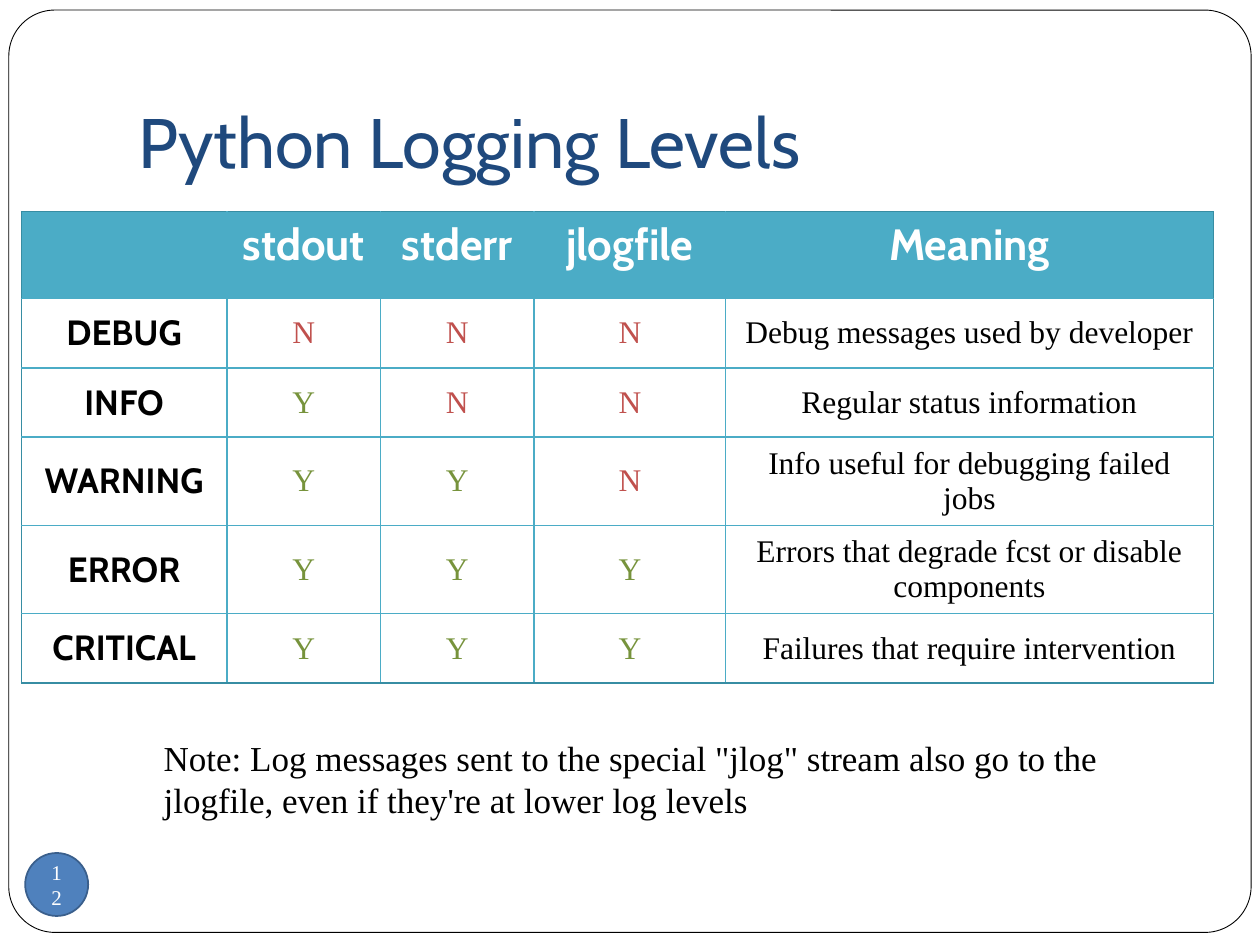
from typing import NamedTuple

from lxml import etree
from pptx import Presentation
from pptx.dml.color import RGBColor
from pptx.enum.shapes import MSO_SHAPE
from pptx.enum.text import MSO_ANCHOR, PP_ALIGN
from pptx.oxml.ns import qn
from pptx.util import Inches, Pt

ROUND_RECT, OVAL = MSO_SHAPE.ROUNDED_RECTANGLE, MSO_SHAPE.OVAL
TOP, MIDDLE, BOTTOM = MSO_ANCHOR.TOP, MSO_ANCHOR.MIDDLE, MSO_ANCHOR.BOTTOM
LEFT, CENTER = PP_ALIGN.LEFT, PP_ALIGN.CENTER

COLORS = {
    "white": "FFFFFF", "black": "000000", "title": "1F497D",
    "badge": "4F81BD", "badge_line": "3A5F8C",
    "grid": "4BACC6", "outer": "378DA3",
    "Y": "77933C", "N": "C0504D",
}
HEADING, BODY = "Cabin", "Times New Roman"


class Style(NamedTuple):
    size: float
    name: str
    color: str
    bold: bool = False


class Level(NamedTuple):
    name: str
    flags: str  # stdout, stderr, jlogfile
    meaning: str
    height: float = 0.55


HEADERS = ["", "stdout", "stderr", "jlogfile", "Meaning"]
COL_WIDTHS = [1.63, 1.22, 1.22, 1.52, 3.87]
HEADER_HEIGHT = 0.69
LEVELS = [
    Level("DEBUG", "NNN", "Debug messages used by developer"),
    Level("INFO", "YNN", "Regular status information"),
    Level("WARNING", "YYN", "Info useful for debugging failed jobs", 0.68),
    Level("ERROR", "YYY", "Errors that degrade fcst or disable components"),
    Level("CRITICAL", "YYY", "Failures that require intervention"),
]
HEADER_STYLE = Style(25, HEADING, "white", True)
NAME_STYLE = Style(20, HEADING, "black", True)
MEANING_STYLE = Style(18, BODY, "black")


def rgb(key: str) -> RGBColor:
    return RGBColor.from_string(COLORS[key])


def write(tf, text: str, style: Style, align=LEFT) -> None:
    p = tf.paragraphs[0]
    p.alignment = align
    r = p.add_run()
    r.text = text
    formats = {"size": Pt(style.size), "name": style.name, "bold": style.bold}
    for attr, value in formats.items():
        setattr(r.font, attr, value)
    r.font.color.rgb = rgb(style.color)


def add_shape(s, kind, box: tuple, fill: str, line: str, width: float):
    sp = s.shapes.add_shape(kind, *map(Inches, box))
    sp.shadow.inherit = False
    sp.fill.solid()
    sp.fill.fore_color.rgb = rgb(fill)
    sp.line.color.rgb = rgb(line)
    sp.line.width = Pt(width)
    return sp


def add_text(s, box: tuple, text: str, style: Style, anchor=TOP):
    tf = s.shapes.add_textbox(*map(Inches, box)).text_frame
    tf.word_wrap = True
    tf.vertical_anchor = anchor
    write(tf, text, style)
    return tf


def set_borders(cell, outer_sides: set) -> None:
    """Draw the four sides, with the outer colour on the table's edge."""
    tc_pr = cell._tc.get_or_add_tcPr()
    for i, side in enumerate("LRTB"):
        color, width = ("outer", 0.75) if side in outer_sides else ("grid", 1)
        ln = etree.Element(qn(f"a:ln{side}"), w=str(int(Pt(width))))
        fill = etree.SubElement(ln, qn("a:solidFill"))
        etree.SubElement(fill, qn("a:srgbClr"), val=COLORS[color])
        tc_pr.insert(i, ln)


def add_levels_table(s) -> None:
    heights = [HEADER_HEIGHT] + [level.height for level in LEVELS]
    rows, cols = len(heights), len(COL_WIDTHS)
    table = s.shapes.add_table(
        rows, cols, Inches(0.17), Inches(1.68),
        Inches(sum(COL_WIDTHS)), Inches(sum(heights))).table
    for col, width in zip(table.columns, COL_WIDTHS):
        col.width = Inches(width)
    for row, height in zip(table.rows, heights):
        row.height = Inches(height)

    content = [[(text, HEADER_STYLE) for text in HEADERS]]
    for level in LEVELS:
        flags = [(flag, Style(18, BODY, flag)) for flag in level.flags]
        content.append([(level.name, NAME_STYLE), *flags,
                        (level.meaning, MEANING_STYLE)])

    for i, row in enumerate(content):
        for j, (text, style) in enumerate(row):
            cell = table.cell(i, j)
            cell.fill.solid()
            cell.fill.fore_color.rgb = rgb("white" if i else "grid")
            cell.vertical_anchor = MIDDLE if i else TOP
            if text:
                write(cell.text_frame, text, style, CENTER)
            edges = {"L": j == 0, "R": j == cols - 1,
                     "T": i == 0, "B": i == rows - 1}
            set_borders(cell, {side for side, on in edges.items() if on})


def main() -> None:
    prs = Presentation()
    prs.slide_width, prs.slide_height = Inches(10), Inches(7.5)
    s = prs.slides.add_slide(prs.slide_layouts[6])

    # Rounded frame and page number
    frame = add_shape(s, ROUND_RECT, (0.07, 0.08, 9.86, 7.32),
                      "white", "black", 0.5)
    frame.adjustments[0] = 0.05
    badge = add_shape(s, OVAL, (0.2, 6.77, 0.5, 0.5),
                      "badge", "badge_line", 1)
    badge.text_frame.word_wrap = True
    badge.text_frame.vertical_anchor = MIDDLE
    write(badge.text_frame, "12", Style(12, BODY, "white"), CENTER)

    # Title
    tf = add_text(s, (1, 0.3, 8.5, 1.25), "Python Logging Levels",
                  Style(40, HEADING, "title"), BOTTOM)
    tf.margin_bottom = Inches(0.1)

    # Levels table and note
    add_levels_table(s)
    add_text(s, (1.2, 5.8, 8.02, 0.77),
             'Note: Log messages sent to the special "jlog" stream also go to '
             "the jlogfile, even if they're at lower log levels",
             Style(20, BODY, "black"))

    prs.save("out.pptx")


if __name__ == "__main__":
    main()
